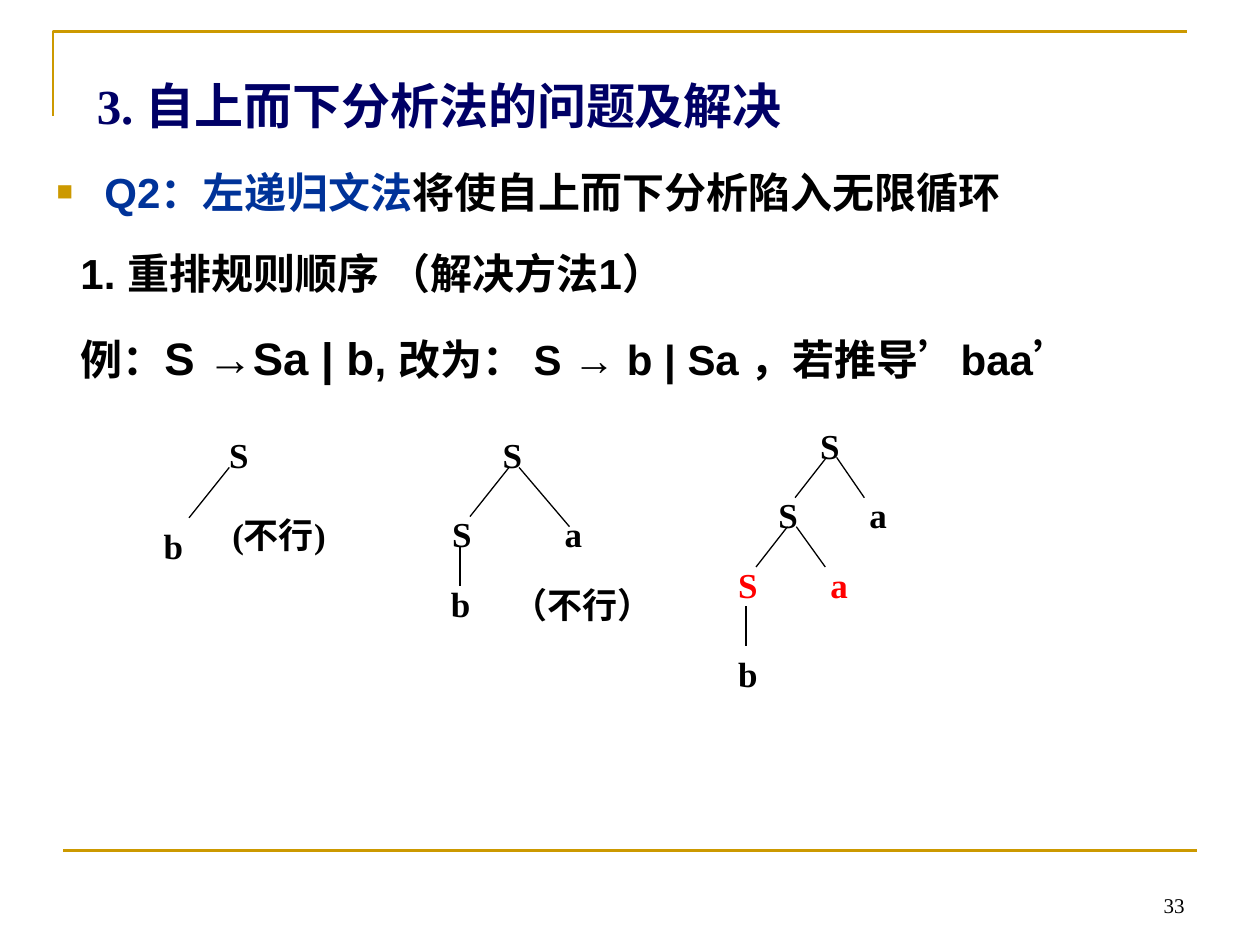
from lxml.etree import SubElement
from pptx import Presentation
from pptx.dml.color import RGBColor
from pptx.enum.shapes import MSO_CONNECTOR
from pptx.enum.text import MSO_ANCHOR, MSO_AUTO_SIZE, PP_ALIGN
from pptx.oxml.ns import qn
from pptx.util import Inches, Pt

GOLD, BLACK, RED = "CC9900", "000000", "FF0000"
NAVY, BLUE = "000066", "003399"
SERIF, SANS = "Times New Roman", "Arial"

# Each tree: nodes (text, left, top, width, colour) and edges (x1, y1, x2, y2)
TREES = [
    ([("S", 1.72, 3.39, 0.35, BLACK), ("b", 1.2, 4.11, 0.35, BLACK),
      ("(不行)", 1.68, 4.03, 1.07, BLACK)],
     [(1.82, 3.71, 1.5, 4.11)]),
    ([("S", 3.89, 3.39, 0.35, BLACK), ("S", 3.49, 4.02, 0.35, BLACK),
      ("a", 4.38, 4.02, 0.34, BLACK), ("b", 3.48, 4.57, 0.35, BLACK),
      ("（不行）", 3.97, 4.58, 1.31, BLACK)],
     [(4.04, 3.71, 3.73, 4.1), (4.12, 3.71, 4.52, 4.18),
      (3.65, 4.34, 3.65, 4.65)]),
    ([("S", 6.41, 3.32, 0.35, BLACK), ("S", 6.08, 3.87, 0.35, BLACK),
      ("a", 6.8, 3.87, 0.34, BLACK), ("S", 5.76, 4.42, 0.35, RED),
      ("a", 6.49, 4.42, 0.34, RED), ("b", 5.76, 5.13, 0.35, BLACK)],
     [(6.56, 3.63, 6.31, 3.95), (6.64, 3.63, 6.86, 3.95),
      (6.25, 4.18, 6, 4.5), (6.32, 4.18, 6.55, 4.5),
      (5.92, 4.81, 5.92, 5.13)]),
]

# Body paragraphs: line spacing, left margin, first indent, runs (text, size, colour)
BODY = [
    (1.5, 0.38, -0.38, [("Q2：左递归文法", 24, BLUE),
                        ("将使自上而下分析陷入无限循环", 24, BLACK)]),
    (1.4, 0.19, 0, [("1. 重排规则顺序 （解决方法1）", 24, BLACK)]),
    (1.4, 0.19, 0, [("例：", 24, BLACK), ("S →Sa | b", 26, BLACK),
                    (", 改为： S → b | Sa ，若推导’baa’", 24, BLACK)]),
]


def color(code):
    return RGBColor.from_string(code)


def style(font, size, face, code, bold=True):
    font.size, font.name, font.bold = Pt(size), face, bold
    font.color.rgb = color(code)


def add_box(slide, left, top, width, height, anchor=MSO_ANCHOR.TOP):
    box = slide.shapes.add_textbox(
        Inches(left), Inches(top), Inches(width), Inches(height))
    frame = box.text_frame
    frame.word_wrap = True
    frame.vertical_anchor = anchor
    return frame


def add_label(frame, text, size, code, align=PP_ALIGN.LEFT, bold=True):
    frame.text = text
    para = frame.paragraphs[0]
    para.alignment = align
    style(para.runs[0].font, size, SERIF, code, bold)


def add_line(slide, ends, code, width):
    line = slide.shapes.add_connector(
        MSO_CONNECTOR.STRAIGHT, *[Inches(end) for end in ends])
    line.line.color.rgb = color(code)
    line.line.width = Pt(width)
    SubElement(line._element.spPr, qn("a:effectLst"))


def add_frame(slide):
    pen = slide.shapes.build_freeform(Inches(0.42), Inches(0.92))
    pen.add_line_segments([(Inches(0.42), Inches(0.25)),
                           (Inches(9.42), Inches(0.25))], close=False)
    shape = pen.convert_to_shape()
    shape.shadow.inherit = False
    shape.fill.background()
    shape.line.color.rgb = color(GOLD)
    shape.line.width = Pt(1.5)


def set_bullet(para):
    props = para._p.get_or_add_pPr()
    tint = SubElement(props, qn("a:buClr"))
    SubElement(tint, qn("a:srgbClr"), val=GOLD)
    SubElement(props, qn("a:buSzPct"), val="65000")
    SubElement(props, qn("a:buFont"), typeface=SANS)
    SubElement(props, qn("a:buChar"), char="■")


def add_body(slide):
    frame = add_box(slide, 0.35, 1.07, 8.82, 2.21)
    for row, (space, left, indent, runs) in enumerate(BODY):
        para = frame.add_paragraph() if row else frame.paragraphs[0]
        para.line_spacing = space
        para.space_before = Pt(6 if row else 0)
        props = para._p.get_or_add_pPr()
        props.set("marL", str(Inches(left)))
        props.set("indent", str(Inches(indent)))
        if row == 0:
            set_bullet(para)
        for text, size, code in runs:
            run = para.add_run()
            run.text = text
            style(run.font, size, SANS, code)


def add_tree(slide, nodes, edges):
    for text, left, top, width, code in nodes:
        frame = add_box(slide, left, top, width, 0.44)
        frame.word_wrap = False
        frame.auto_size = MSO_AUTO_SIZE.SHAPE_TO_FIT_TEXT
        add_label(frame, text, 20, code, PP_ALIGN.CENTER)
    for ends in edges:
        add_line(slide, ends, BLACK, 0.75)


def main():
    deck = Presentation()
    deck.slide_width, deck.slide_height = Inches(10), Inches(7.5)
    slide = deck.slides.add_slide(deck.slide_layouts[6])

    # Border lines and page number
    add_frame(slide)
    add_line(slide, (0.5, 6.75, 9.5, 6.75), GOLD, 1.5)
    page = add_box(slide, 7.17, 6.83, 2.33, 0.5, MSO_ANCHOR.BOTTOM)
    add_label(page, "33", 12, BLACK, PP_ALIGN.RIGHT, False)

    # Title and body
    title = add_box(slide, 0.67, 0.52, 8.43, 0.63, MSO_ANCHOR.MIDDLE)
    add_label(title, "3. 自上而下分析法的问题及解决", 28, NAVY)
    add_body(slide)

    # Derivation trees
    for nodes, edges in TREES:
        add_tree(slide, nodes, edges)

    deck.save("out.pptx")


if __name__ == "__main__":
    main()
